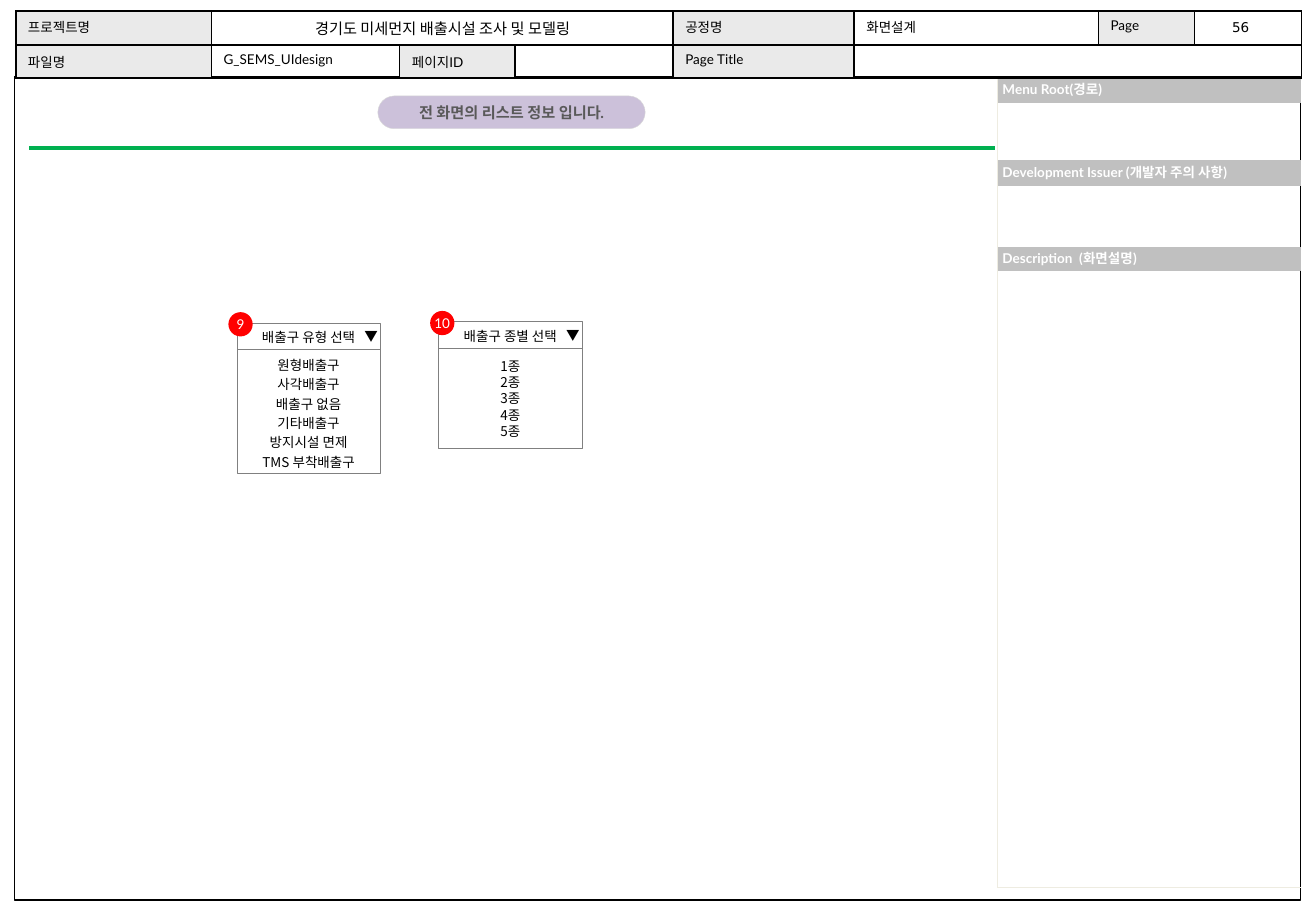
from dataclasses import dataclass

from lxml.etree import SubElement
from pptx import Presentation
from pptx.dml.color import RGBColor
from pptx.enum.shapes import MSO_CONNECTOR, MSO_SHAPE as SHAPE
from pptx.enum.text import MSO_ANCHOR as ANCHOR, MSO_AUTO_SIZE, PP_ALIGN as ALIGN
from pptx.oxml.ns import qn
from pptx.util import Pt

PX = 9144


@dataclass(frozen=True)
class Theme:
    black: str = "000000"
    white: str = "FFFFFF"
    label: str = "EAEAEA"
    band: str = "C0C0C0"
    pale: str = "EEECE1"
    rule: str = "00B050"
    pill: str = "CCC1DA"
    pill_line: str = "D9D9D9"
    pill_text: str = "595959"
    box_line: str = "808080"
    badge: str = "FF0000"
    latin: str = "Lato"
    korean: str = "Noto Sans CJK KR"
    number: str = "DejaVu Sans"
    small: int = 8
    large: int = 9


T = Theme()


def px(*values):
    return [v * PX for v in values]


def rgb(color):
    return RGBColor.from_string(color)


def write(tf, lines, font=T.latin, size=T.small, color=T.black, bold=False,
          align=ALIGN.LEFT, spacing=1.0, before=0):
    for i, line in enumerate(lines):
        p = tf.paragraphs[0] if i == 0 else tf.add_paragraph()
        p.text = line
        p.alignment, p.line_spacing, p.space_before = align, spacing, Pt(before)
        p.font.name, p.font.size, p.font.bold = font, Pt(size), bold
        p.font.color.rgb = rgb(color)


def set_frame(tf, inset=(4, 4), anchor=ANCHOR.MIDDLE, wrap=True):
    tf.margin_left = tf.margin_right = inset[0] * PX
    tf.margin_top = tf.margin_bottom = inset[1] * PX
    tf.vertical_anchor, tf.word_wrap = anchor, wrap
    tf.auto_size = MSO_AUTO_SIZE.NONE


def add_box(s, kind, box, fill=None, line=None, width=0.5):
    sp = s.shapes.add_shape(kind, *px(*box))
    sp.shadow.inherit = False
    if fill:
        sp.fill.solid()
        sp.fill.fore_color.rgb = rgb(fill)
    else:
        sp.fill.background()
    if line:
        sp.line.color.rgb = rgb(line)
        sp.line.width = Pt(width)
    else:
        sp.line.fill.background()
    set_frame(sp.text_frame)
    return sp


def add_text(s, box, text, inset, wrap=True, **style):
    tf = s.shapes.add_textbox(*px(*box)).text_frame
    set_frame(tf, inset, ANCHOR.TOP, wrap)
    write(tf, [text], **style)


def add_grid(s, left, top, cols, rows):
    size = px(left, top, sum(cols), sum(rows))
    table = s.shapes.add_table(len(rows), len(cols), *size).table
    table.first_row = table.horz_banding = False
    for col, width in zip(table.columns, cols):
        col.width = width * PX
    for row, height in zip(table.rows, rows):
        row.height = height * PX
    return table


def style_cell(cell, fill, borders, width):
    tc_pr = cell._tc.get_or_add_tcPr()
    for side in "LRTB":
        ln = SubElement(tc_pr, qn(f"a:ln{side}"), w=str(int(Pt(width))))
        if side in borders:
            solid = SubElement(ln, qn("a:solidFill"))
            SubElement(solid, qn("a:srgbClr"), val=borders[side])
        else:
            SubElement(ln, qn("a:noFill"))
    if fill:
        cell.fill.solid()
        cell.fill.fore_color.rgb = rgb(fill)
    else:
        cell.fill.background()
    end = cell.text_frame.paragraphs[0]._p.get_or_add_endParaRPr()
    end.set("sz", str(T.small * 100))


def header_table(s, left, top):
    texts = [
        ["프로젝트명", "경기도 미세먼지 배출시설 조사 및 모델링", "", "",
         "공정명", "화면설계", "Page", ""],
        ["파일명", "G_SEMS_UIdesign", "페이지ID", "", "Page Title", "", "", ""],
    ]
    labels = {"프로젝트명", "공정명", "Page", "파일명", "페이지ID", "Page Title"}
    project = texts[0][1]
    table = add_grid(s, left, top, [161, 155, 95, 130, 149, 201, 79, 88], [28, 27])
    for r, row in enumerate(texts):
        for c, text in enumerate(row):
            cell = table.cell(r, c)
            if text:
                main = text == project
                write(cell.text_frame, [text], before=1.6,
                      size=T.large if main else T.small,
                      align=ALIGN.CENTER if main else ALIGN.LEFT)
            style_cell(cell, T.label if text in labels else None,
                       dict.fromkeys("LRTB", T.black), 1)
    table.cell(0, 1).merge(table.cell(0, 3))
    table.cell(1, 5).merge(table.cell(1, 7))
    add_text(s, (left + 997, top - 4, 27, 25), "56", (4, 4), wrap=False,
             font=T.number, spacing=1.5)


def guide_table(s, left, top):
    bands = {0: ("Menu Root(경로)", 0.75),
             2: ("Development Issuer (개발자 주의 사항)", 0.8),
             4: ("Description  (화면설명)", 0.75)}
    heights = [21, 47, 21, 50, 20, 507]
    table = add_grid(s, left, top, [250], heights)
    for r in range(len(heights)):
        cell = table.cell(r, 0)
        if r in bands:
            text, spacing = bands[r]
            write(cell.text_frame, [text], color=T.white, bold=True,
                  spacing=spacing, before=1.6)
            cell.vertical_anchor = ANCHOR.MIDDLE
            cell.margin_left = cell.margin_right = 4 * PX
            cell.margin_top = cell.margin_bottom = 4 * PX
        sides = "LB" if r == len(heights) - 1 else "L"
        style_cell(cell, T.band if r in bands else None,
                   dict.fromkeys(sides, T.pale), 0.25)


def heading(s, left, top):
    rule = s.shapes.add_connector(MSO_CONNECTOR.STRAIGHT,
                                  *px(left, top + 43, left + 795, top + 43))
    rule.line.color.rgb = rgb(T.rule)
    rule.line.width = Pt(2.5)
    SubElement(rule._element.spPr, qn("a:effectLst"))

    box = (left + 287, top, 220, 27)
    pill = add_box(s, SHAPE.ROUNDED_RECTANGLE, box, T.pill, T.pill_line, 0.25)
    pill.adjustments[0] = 0.5
    title = s.shapes.title
    title.left, title.top, title.width, title.height = px(*box)
    set_frame(title.text_frame)
    write(title.text_frame, ["전 화면의 리스트 정보 입니다."], size=T.large,
          color=T.pill_text, bold=True, align=ALIGN.CENTER)
    pill._element.addnext(title._element)


def dropdown(s, left, top, number, label, options, height, spacing):
    width, head = 118, 22
    parts = [((left, top, width, head + 1), [label], 1.0),
             ((left, top + head, width, height), options, spacing)]
    for box, lines, gap in parts:
        sp = add_box(s, SHAPE.RECTANGLE, box, T.white, T.box_line)
        write(sp.text_frame, lines, font=T.korean, align=ALIGN.CENTER, spacing=gap)
    add_text(s, (left + 95, top - 1, 35, 24), "▼", (10, 5), font=T.korean)
    badge = add_box(s, SHAPE.OVAL, (left - 7, top - 9, 20, 20), T.badge)
    badge.text_frame.word_wrap = False
    write(badge.text_frame, [number], color=T.white, align=ALIGN.CENTER)


def main():
    prs = Presentation()
    prs.slide_width, prs.slide_height = px(1083, 750)
    s = prs.slides.add_slide(prs.slide_layouts[5])
    add_box(s, SHAPE.RECTANGLE, (12, 63, 1058, 678), line=T.black, width=0.75)
    guide_table(s, 821, 64)
    header_table(s, 13, 9)
    heading(s, 24, 79)
    outlets = ["원형배출구", "사각배출구", "배출구 없음", "기타배출구",
               "방지시설 면제", "TMS 부착배출구"]
    classes = [f"{n}종" for n in range(1, 6)]
    dropdown(s, 195, 266, "9", "배출구 유형 선택", outlets, 102, 1.2)
    dropdown(s, 361, 265, "10", "배출구 종별 선택", classes, 82, 1.0)
    prs.save("out.pptx")


if __name__ == "__main__":
    main()
